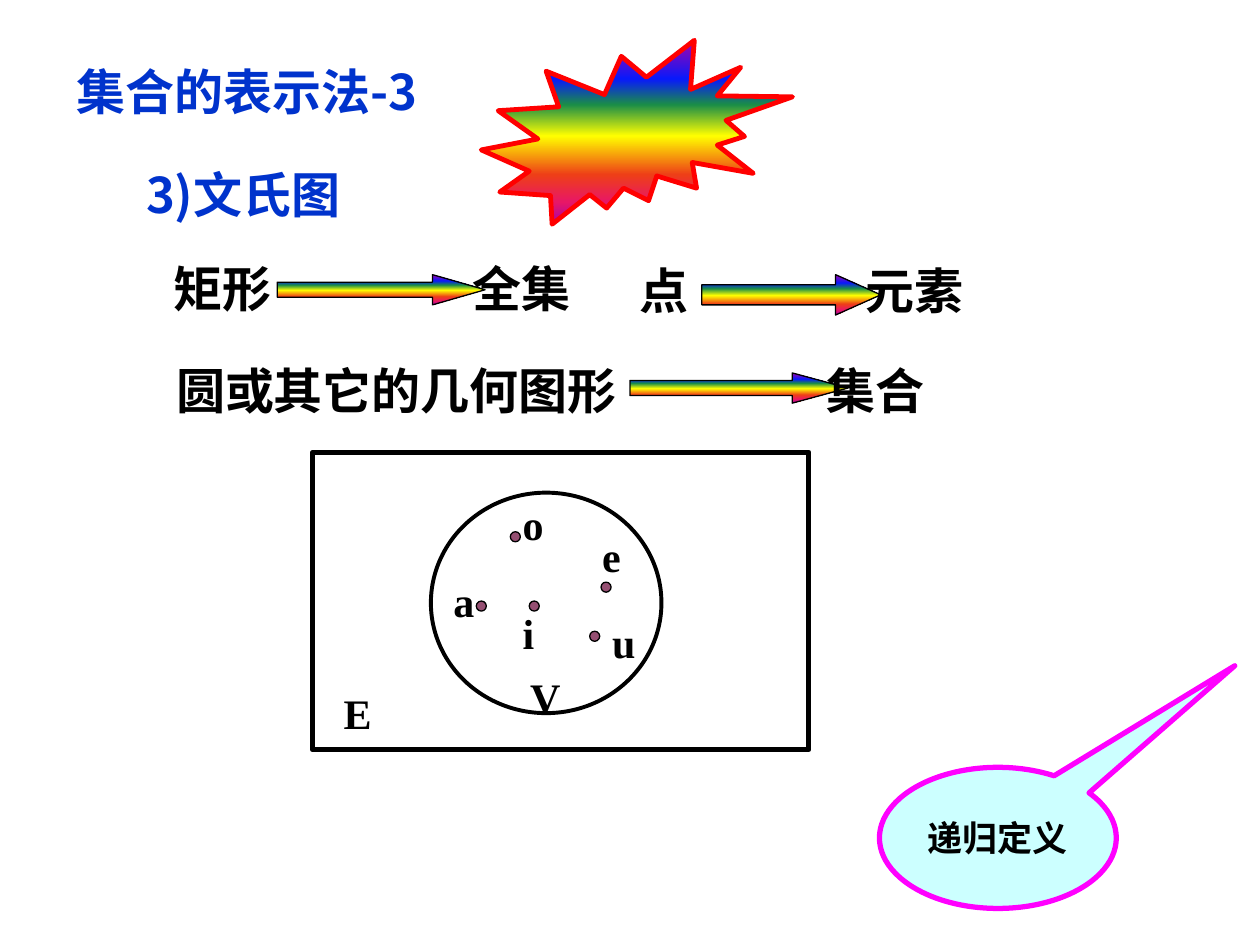
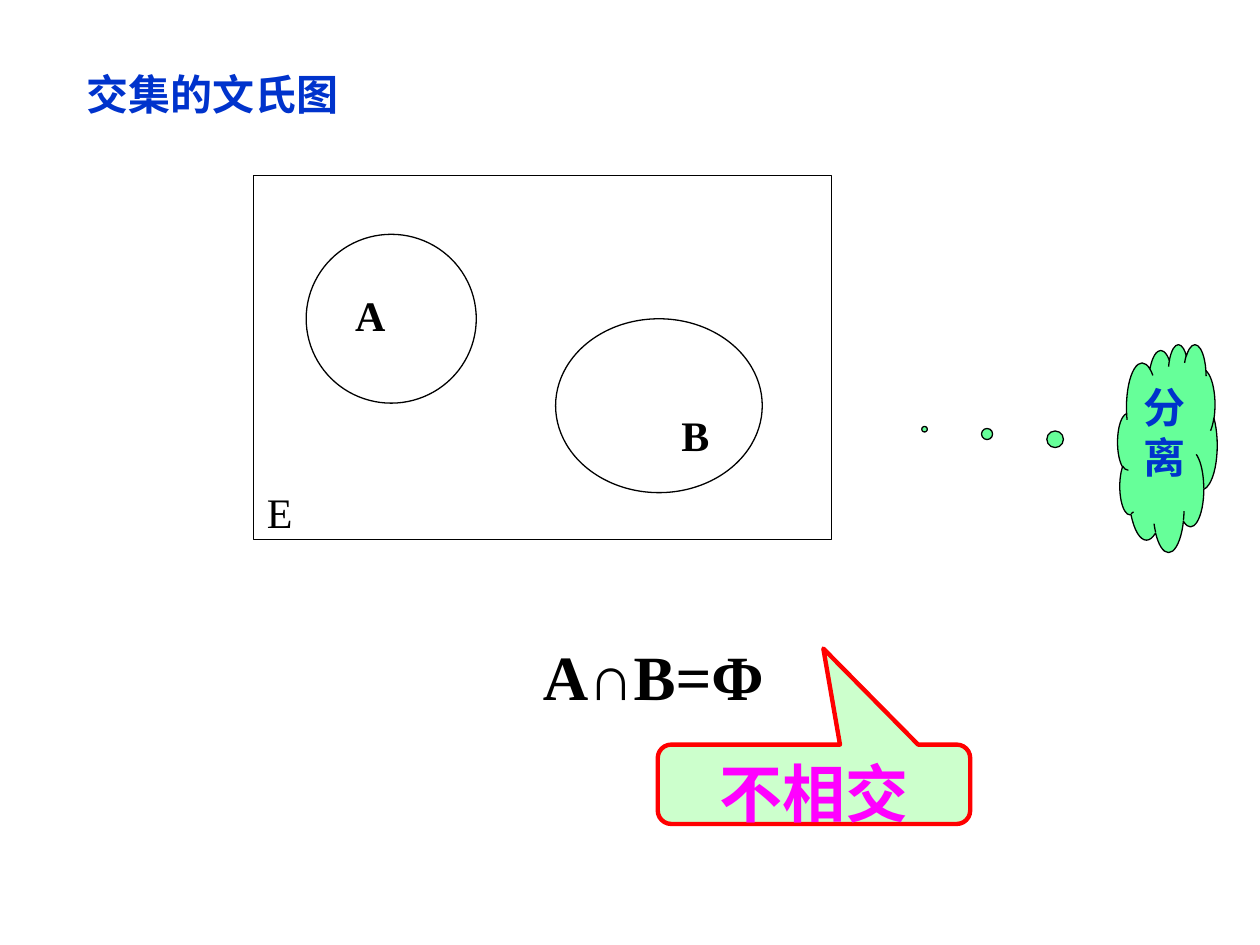
from dataclasses import dataclass
from typing import NamedTuple

from lxml.etree import SubElement
from pptx import Presentation
from pptx.dml.color import RGBColor
from pptx.enum.shapes import MSO_SHAPE
from pptx.enum.text import MSO_ANCHOR, MSO_AUTO_SIZE, PP_ALIGN
from pptx.oxml import parse_xml
from pptx.oxml.ns import nsdecls, qn
from pptx.util import Pt

PX = 9144  # EMU per px, 100 px to the inch


@dataclass(frozen=True)
class Theme:
    han: str = "Noto Sans CJK SC"
    latin: str = "Times New Roman"
    black: str = "000000"
    heading: str = "0033CC"
    member: str = "954F72"
    magenta: str = "FF00FF"
    red: str = "FF0000"
    pale_cyan: str = "CCFFFF"
    pale_green: str = "CCFFCC"
    green: str = "66FF99"
    rainbow: tuple = ((0, "A603AB"), (21, "0819FB"), (35, "1A8D48"), (52, "FFFF00"),
                      (73, "EE3F17"), (88, "E81766"), (100, "A603AB"))
    huge: int = 36
    large: int = 28
    medium: int = 24
    small: int = 20
    hairline: float = 0.75


THEME = Theme()


class Box(NamedTuple):
    x: int
    y: int
    w: int
    h: int

    def inside(self, x, y, w, h):
        """Box placed relative to this one's top left corner."""
        return Box(self.x + x, self.y + y, w, h)

    def emu(self):
        return [length * PX for length in self]


# Shared helpers

def write(holder, text, size, color=THEME.black, font=THEME.latin, bold=True,
          align=PP_ALIGN.LEFT, anchor=MSO_ANCHOR.TOP, wrap=True):
    """Fill a shape with one formatted paragraph and return it."""
    frame = holder.text_frame
    frame.text = text
    frame.word_wrap = wrap
    frame.auto_size = MSO_AUTO_SIZE.NONE
    frame.vertical_anchor = anchor
    paragraph = frame.paragraphs[0]
    paragraph.alignment = align
    paragraph.font.size = Pt(size)
    paragraph.font.bold = bold
    paragraph.font.name = font
    paragraph.font.color.rgb = RGBColor.from_string(color)
    # East Asian characters take their own typeface
    defaults = paragraph._p.pPr.find(qn("a:defRPr"))
    SubElement(defaults, qn("a:ea")).set("typeface", THEME.han)
    return paragraph


def insert_before_font(paragraph, xml):
    paragraph._p.pPr.find(qn("a:defRPr")).addprevious(parse_xml(xml))


def add_label(slide, box, text, size=THEME.medium, **style):
    return write(slide.shapes.add_textbox(*box.emu()), text, size, **style)


def add_figure(slide, kind, box, fill=None, line=THEME.black, width=THEME.hairline, adjust=()):
    figure = slide.shapes.add_shape(kind, *box.emu())
    figure.shadow.inherit = False
    figure.line.color.rgb = RGBColor.from_string(line)
    figure.line.width = Pt(width)
    for index, value in enumerate(adjust):
        figure.adjustments[index] = value
    if fill is None:
        figure.fill.background()
    elif fill == THEME.rainbow:
        paint_rainbow(figure)
    else:
        figure.fill.solid()
        figure.fill.fore_color.rgb = RGBColor.from_string(fill)
    return figure


def paint_rainbow(figure):
    figure.fill.gradient()
    figure.fill.gradient_angle = 270
    stops = figure._element.spPr.find(".//" + qn("a:gsLst"))
    stops.clear()
    for percent, color in THEME.rainbow:
        stop = SubElement(stops, qn("a:gs"), pos=str(percent * 1000))
        SubElement(stop, qn("a:srgbClr"), val=color)


def place(holder, box):
    holder.left, holder.top, holder.width, holder.height = box.emu()


def add_heading(slide, box, text, size):
    place(slide.shapes.title, box)
    write(slide.shapes.title, text, size, THEME.heading, THEME.han)


# Slide 1: representing sets

def add_subheading(slide, box, text):
    body = slide.placeholders[1]
    place(body, box)
    paragraph = write(body, text, THEME.large, THEME.heading, THEME.han)
    paragraph.line_spacing = 1.4
    paragraph._p.pPr.set("marL", str(42 * PX))
    paragraph._p.pPr.set("indent", str(-42 * PX))
    insert_before_font(paragraph, f"<a:buNone {nsdecls('a')}/>")


def add_meaning(slide, box, symbol, meaning, tab, arrow, head):
    """A drawn symbol, an arrow, and what the symbol stands for."""
    add_figure(slide, MSO_SHAPE.RIGHT_ARROW, box.inside(*arrow), THEME.rainbow,
               adjust=(0.5, head))
    row = add_label(slide, box, f"{symbol}\t{meaning}", THEME.large, font=THEME.han)
    insert_before_font(row, f'<a:tabLst {nsdecls("a")}>'
                            f'<a:tab pos="{tab * PX}" algn="l"/></a:tabLst>')


def add_vowel_diagram(slide, box):
    add_figure(slide, MSO_SHAPE.OVAL, box.inside(94, 32, 183, 175), width=2.25)
    add_figure(slide, MSO_SHAPE.RECTANGLE, box, width=3)
    add_label(slide, box.inside(15, 182, 43, 51), "E", wrap=False)
    add_label(slide, box.inside(163, 169, 45, 50), "V", wrap=False)
    vowels = (  # vowel, label corner and width, dot corner
        ("a", (102, 93, 37), (130, 118)),
        ("e", (220, 57, 35), (229, 103)),
        ("i", (157, 118, 29), (172, 118)),
        ("o", (157, 32, 37), (157, 63)),
        ("u", (228, 125, 39), (220, 142)),
    )
    for vowel, (x, y, width), dot in vowels:
        add_figure(slide, MSO_SHAPE.OVAL, box.inside(*dot, 8, 8), THEME.member)
        add_label(slide, box.inside(x, y, width, 50), vowel, wrap=False)


def build_representation(prs):
    slide = prs.slides.add_slide(prs.slide_layouts[1])
    add_heading(slide, Box(51, 44, 498, 57), "集合的表示法-3", THEME.large)
    add_subheading(slide, Box(106, 107, 442, 110), "3)文氏图")
    add_vowel_diagram(slide, Box(248, 359, 394, 236))
    meanings = (
        (Box(128, 200, 364, 57), "矩形", "全集", 237, (92, 18, 165, 24), 1.74),
        (Box(498, 202, 372, 57), "点", "元素", 179, (59, 16, 142, 32), 1.12),
        (Box(130, 281, 724, 57), "圆或其它的几何图形", "集合", 516, (370, 15, 173, 24), 1.84),
    )
    for meaning in meanings:
        add_meaning(slide, *meaning)
    recursion = add_figure(slide, MSO_SHAPE.OVAL_CALLOUT, Box(698, 609, 188, 112),
                           THEME.pale_cyan, THEME.magenta, 3, (1, -1.22))
    write(recursion, "递归定义", THEME.small, align=PP_ALIGN.CENTER, anchor=MSO_ANCHOR.MIDDLE)
    add_figure(slide, MSO_SHAPE.EXPLOSION2, Box(382, 32, 247, 146),
               THEME.rainbow, THEME.red, 2.75)


# Slide 2: disjoint sets

def add_disjoint_diagram(slide, box):
    add_figure(slide, MSO_SHAPE.RECTANGLE, box)
    add_figure(slide, MSO_SHAPE.OVAL, box.inside(42, 47, 135, 134))
    add_figure(slide, MSO_SHAPE.OVAL, box.inside(240, 114, 164, 138))
    add_label(slide, box.inside(71, 86, 45, 50), "A", wrap=False)
    add_label(slide, box.inside(330, 181, 43, 50), "B", wrap=False)
    add_label(slide, box.inside(1, 242, 40, 50), "E", bold=False, wrap=False)


def build_intersection(prs):
    slide = prs.slides.add_slide(prs.slide_layouts[5])
    add_heading(slide, Box(59, 49, 362, 50), "交集的文氏图", THEME.medium)
    add_label(slide, Box(421, 501, 238, 70), "A∩B=Φ", THEME.huge)
    add_disjoint_diagram(slide, Box(201, 139, 459, 289))
    separate = add_figure(slide, MSO_SHAPE.CLOUD_CALLOUT, Box(887, 273, 79, 165),
                          THEME.green, adjust=(-2.44, -0.09))
    write(separate, "分离", THEME.medium, THEME.heading, THEME.han, align=PP_ALIGN.CENTER)
    disjoint = add_figure(slide, MSO_SHAPE.ROUNDED_RECTANGULAR_CALLOUT, Box(522, 591, 248, 63),
                          THEME.pale_green, THEME.red, 2.5, (0.03, -1.71, 0.17))
    write(disjoint, "不相交", THEME.huge, THEME.magenta, align=PP_ALIGN.CENTER)


def main():
    prs = Presentation()
    prs.slide_width, prs.slide_height = 1000 * PX, 750 * PX
    build_representation(prs)
    build_intersection(prs)
    prs.save("out.pptx")


if __name__ == "__main__":
    main()
